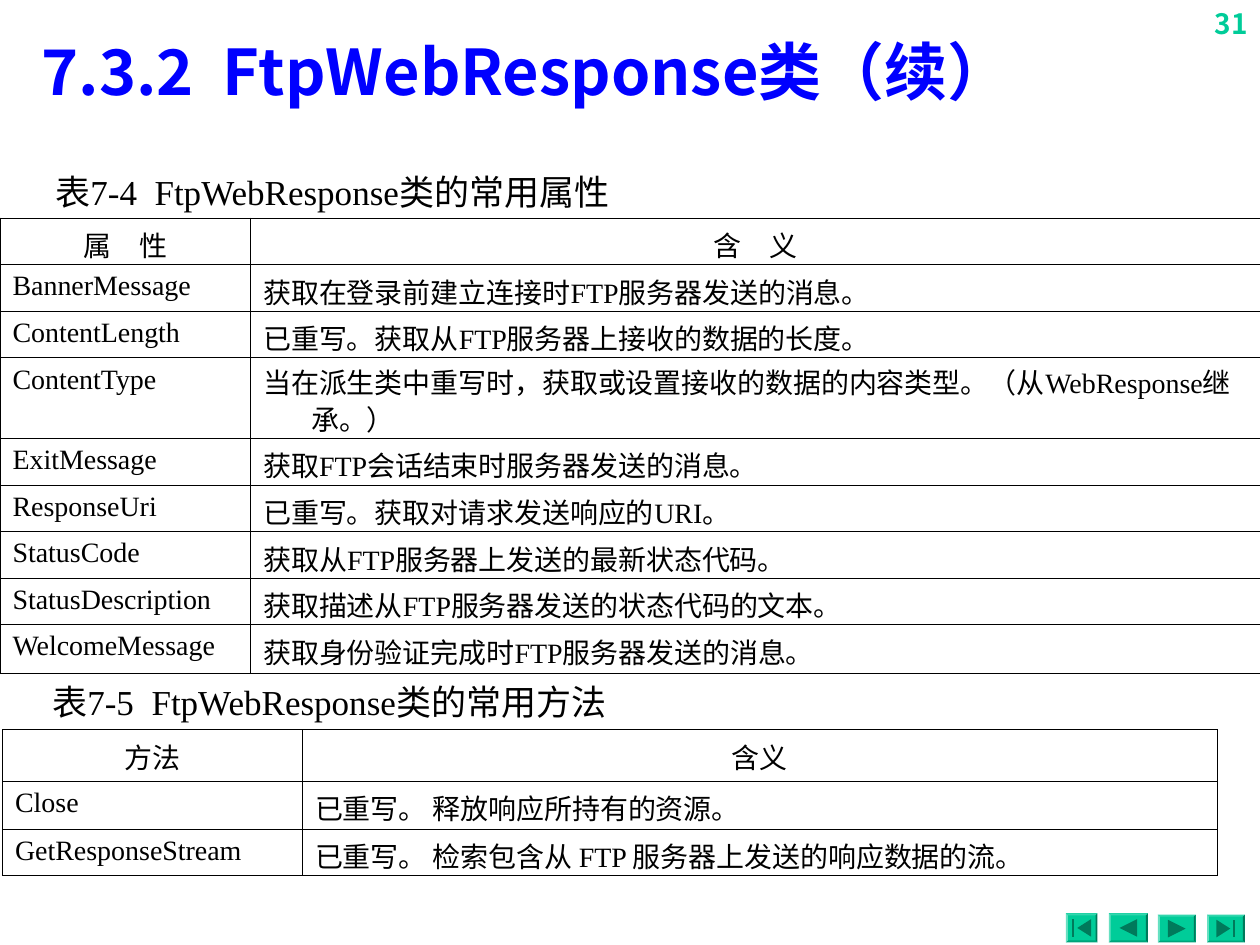
from lxml.etree import SubElement
from pptx import Presentation
from pptx.dml.color import RGBColor
from pptx.enum.text import MSO_ANCHOR, MSO_AUTO_SIZE, PP_ALIGN
from pptx.oxml.ns import qn
from pptx.util import Inches, Pt

SANS, SANS_KR, SERIF = "Noto Sans CJK SC", "Noto Sans CJK KR", "Times New Roman"
BLACK, BLUE, GREEN = "000000", "0000FF", "00CC99"

PROPERTIES = [
    ("属　性", "含　义"),
    ("BannerMessage", "获取在登录前建立连接时FTP服务器发送的消息。"),
    ("ContentLength", "已重写。获取从FTP服务器上接收的数据的长度。"),
    ("ContentType", "当在派生类中重写时，获取或设置接收的数据的内容类型。（从WebResponse继承。）"),
    ("ExitMessage", "获取FTP会话结束时服务器发送的消息。"),
    ("ResponseUri", "已重写。获取对请求发送响应的URI。"),
    ("StatusCode", "获取从FTP服务器上发送的最新状态代码。"),
    ("StatusDescription", "获取描述从FTP服务器发送的状态代码的文本。"),
    ("WelcomeMessage", "获取身份验证完成时FTP服务器发送的消息。"),
]
METHODS = [
    ("方法", "含义"),
    ("Close", "已重写。 释放响应所持有的资源。"),
    ("GetResponseStream", "已重写。 检索包含从 FTP 服务器上发送的响应数据的流。"),
]


def rgb(color):
    return RGBColor.from_string(color)


def write(frame, text, size, font=SERIF, color=BLACK, bold=False, align=PP_ALIGN.LEFT):
    frame.text = text
    paragraph = frame.paragraphs[0]
    paragraph.alignment = align
    for run in paragraph.runs:
        run.font.size, run.font.bold, run.font.name = Pt(size), bold, font
        run.font.color.rgb = rgb(color)
        east_asian = SANS if font == SERIF else font
        SubElement(run.font._element, qn("a:ea")).set("typeface", east_asian)
    return paragraph


def add_title(slide, text):
    title = slide.shapes.title
    title.left, title.top = Inches(0.23), Inches(0.19)
    title.width, title.height = Inches(9.52), Inches(0.74)
    frame = title.text_frame
    frame.auto_size = MSO_AUTO_SIZE.NONE
    frame.vertical_anchor = MSO_ANCHOR.MIDDLE
    write(frame, text, 36, SANS, BLUE, bold=True)


def add_label(slide, box, text, size, anchor=MSO_ANCHOR.MIDDLE, **style):
    label = slide.shapes.add_textbox(*map(Inches, box))
    label.text_frame.word_wrap = True
    label.text_frame.vertical_anchor = anchor
    write(label.text_frame, text, size, **style)


def style_cell(cell):
    """Thin black borders, no fill; the bottom inset is left out to keep rows tight."""
    cell.margin_bottom = 0
    properties = cell._tc.get_or_add_tcPr()
    for side in ("lnL", "lnR", "lnT", "lnB"):
        line = SubElement(properties, qn(f"a:{side}"), w=str(Pt(0.45)))
        fill = SubElement(line, qn("a:solidFill"))
        SubElement(fill, qn("a:srgbClr"), val=BLACK)
    cell.fill.background()


def add_grid(slide, left, top, columns, heights, rows, hanging=0):
    frame = slide.shapes.add_table(
        len(rows), len(columns), Inches(left), Inches(top),
        Inches(sum(columns)), Inches(sum(heights)))
    table = frame.table
    table.first_row = table.horz_banding = False
    for column, width in zip(table.columns, columns):
        column.width = Inches(width)
    for index, (row, height, texts) in enumerate(zip(table.rows, heights, rows)):
        row.height = Inches(height)
        align = PP_ALIGN.LEFT if index else PP_ALIGN.CENTER
        for cell, text in zip(row.cells, texts):
            paragraph = write(cell.text_frame, text, 16, align=align)
            if hanging:
                indent = paragraph._p.get_or_add_pPr()
                indent.set("marL", str(Inches(hanging)))
                indent.set("indent", str(-Inches(hanging)))
            if len(text) > 40:  # the one entry that takes two lines
                paragraph.line_spacing = 0.92
            style_cell(cell)


def box_corners(left, top, right, bottom):
    return [(left, top), (right, top), (right, bottom), (left, bottom)]


def add_nav_button(slide, left, top, width, height, direction, bar):
    """Bevelled button with a triangle (-1 left, 1 right) and an optional bar."""
    outer = box_corners(left, top, left + width, top + height)
    edge = 0.015
    inner = box_corners(left + edge, top + edge, left + width - edge, top + height - edge)
    contours = [(outer, "norm")]
    for side, shade in enumerate(("lightenLess", "darken", "darkenLess", "lighten")):
        following = (side + 1) % 4
        contours.append(([outer[side], outer[following], inner[following], inner[side]], shade))

    # Icon
    middle_x, middle_y = left + width / 2, top + height / 2
    half = 0.055 if bar else 0.07
    centre = middle_x - direction * 0.02 if bar else middle_x
    base, tip = centre - direction * half, centre + direction * half
    contours.append(([(base, middle_y - 0.07), (tip, middle_y), (base, middle_y + 0.07)], "darken"))
    if bar:
        near = middle_x + direction * 0.06
        far = near + direction * 0.015
        contours.append((box_corners(near, middle_y - 0.07, far, middle_y + 0.07), "darken"))

    builder = None
    for points, _ in contours:
        start, *others = [(Inches(x), Inches(y)) for x, y in points]
        if builder is None:
            builder = slide.shapes.build_freeform(*start)
        else:
            builder.move_to(*start)
        builder.add_line_segments(others)
    button = builder.convert_to_shape()
    button.shadow.inherit = False
    button.fill.solid()
    button.fill.fore_color.rgb = rgb(GREEN)
    button.line.fill.background()

    # Give every contour its own shade
    outline = button._element.xpath(".//a:path")[0]
    shades = iter(shade for _, shade in contours)
    size = dict(outline.attrib)
    parent = outline.getparent()
    for step in list(outline):
        if step.tag == qn("a:moveTo"):
            facet = SubElement(parent, qn("a:path"), **{**size, "fill": next(shades)})
        facet.append(step)
    parent.remove(outline)


def main():
    deck = Presentation()
    deck.slide_width, deck.slide_height = Inches(10), Inches(7.5)
    slide = deck.slides.add_slide(deck.slide_layouts[5])

    # Page number and navigation
    add_label(slide, (9.45, 0, 0.55, 0.4), "31", 16, MSO_ANCHOR.TOP,
              font=SANS_KR, color=GREEN, bold=True, align=PP_ALIGN.RIGHT)
    add_nav_button(slide, 8.46, 7.25, 0.25, 0.23, -1, True)
    add_nav_button(slide, 8.8, 7.25, 0.31, 0.23, -1, False)
    add_nav_button(slide, 9.19, 7.26, 0.3, 0.22, 1, False)
    add_nav_button(slide, 9.58, 7.26, 0.3, 0.22, 1, True)

    # Title and captions
    add_title(slide, "7.3.2  FtpWebResponse类（续）")
    add_label(slide, (0.34, 1.3, 6.22, 0.44), "表7-4  FtpWebResponse类的常用属性", 20)
    add_label(slide, (0.15, 5.35, 4.93, 0.44), "表7-5  FtpWebResponse类的常用方法", 20,
              align=PP_ALIGN.CENTER)

    # Tables
    add_grid(slide, 0.02, 5.79, (2.38, 7.26), (0.41, 0.38, 0.37), METHODS)
    add_grid(slide, 0, 1.73, (1.99, 8.01), [0.37] * 3 + [0.64] + [0.37] * 4 + [0.39],
             PROPERTIES, hanging=0.38)

    deck.save("out.pptx")


if __name__ == "__main__":
    main()
